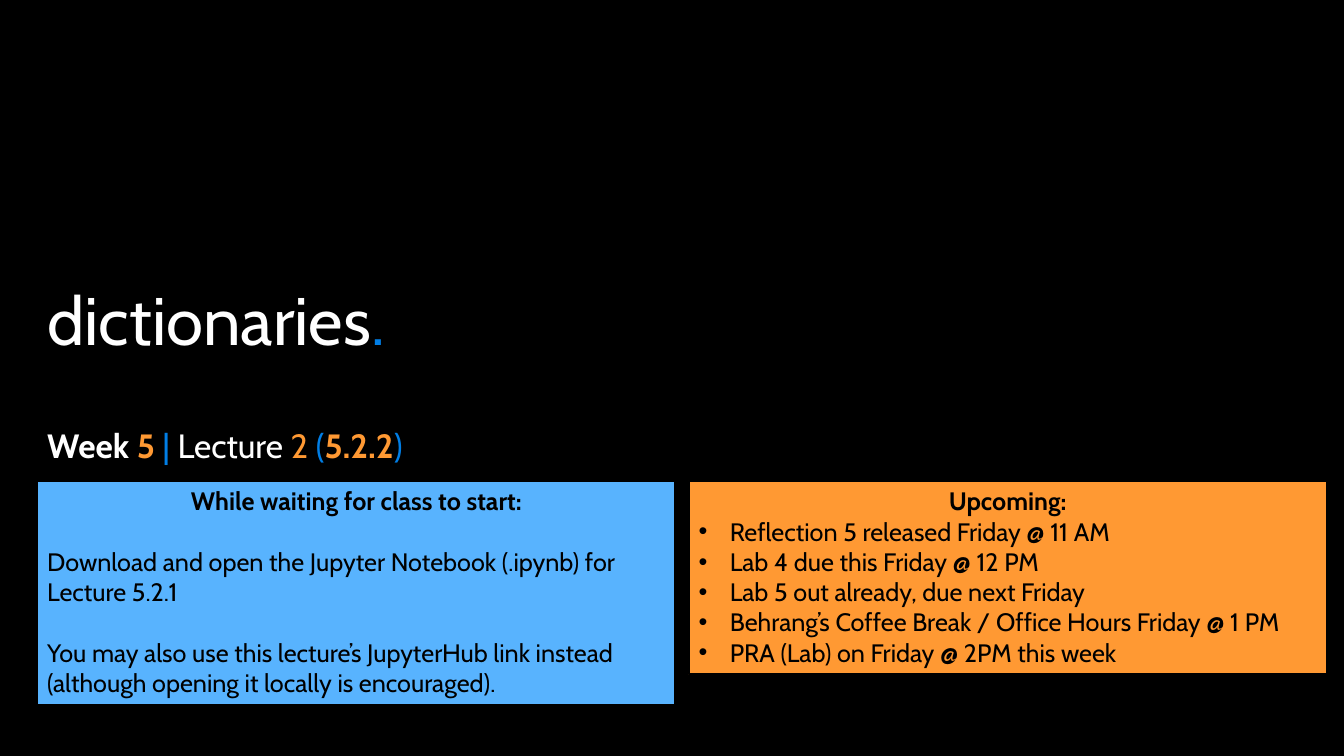
from lxml import etree
from pptx import Presentation
from pptx.dml.color import RGBColor
from pptx.enum.shapes import MSO_SHAPE
from pptx.enum.text import MSO_ANCHOR, MSO_AUTO_SIZE, PP_ALIGN
from pptx.oxml.ns import qn
from pptx.util import Inches, Pt

RECTANGLE = MSO_SHAPE.RECTANGLE
TOP, BOTTOM = MSO_ANCHOR.TOP, MSO_ANCHOR.BOTTOM
LEFT, CENTER = PP_ALIGN.LEFT, PP_ALIGN.CENTER
NO_FIT, GROW = MSO_AUTO_SIZE.NONE, MSO_AUTO_SIZE.SHAPE_TO_FIT_TEXT

FONT = "Cabin"
BLACK, WHITE = "000000", "FFFFFF"
BLUE, ORANGE, SKY = "017EE5", "FF9933", "58B3FE"
MARGIN, CONTENT_WIDTH = 0.37, 12.46
PANEL_TOP, PANEL_WIDTH, PANEL_STEP = 4.77, 6.33, 6.46
PANEL_SIZE, PANEL_GAP, BULLET_INDENT = 18, 21.6, 0.31


def color(hex_code):
    """Turn a hex string into a colour."""
    return RGBColor.from_string(hex_code)


class LectureSlide:
    """Style and elements of the lecture opening slide."""

    def __init__(self, deck):
        """Add a black title-only slide."""
        self.slide = deck.slides.add_slide(deck.slide_layouts[5])
        fill = self.slide.background.fill
        fill.solid()
        fill.fore_color.rgb = color(BLACK)

    def frame(self, holder, anchor, fit=NO_FIT):
        """Prepare the text frame of a shape."""
        frame = holder.text_frame
        frame.word_wrap = True
        frame.auto_size = fit
        frame.vertical_anchor = anchor
        return frame

    def add_runs(self, paragraph, runs, size, align=LEFT, spacing=1.0):
        """Fill a paragraph with (text, colour, bold) runs."""
        paragraph.alignment = align
        paragraph.line_spacing = spacing
        for text, hex_code, bold in runs:
            run = paragraph.add_run()
            run.text = text
            run.font.name = FONT
            run.font.size = Pt(size)
            run.font.bold = bold
            run.font.color.rgb = color(hex_code)

    def bullet(self, paragraph):
        """Give a paragraph a hanging round bullet."""
        properties = paragraph._p.get_or_add_pPr()
        properties.set("marL", str(Inches(BULLET_INDENT)))
        properties.set("indent", str(-Inches(BULLET_INDENT)))
        etree.SubElement(properties, qn("a:buFont")).set("typeface", "Arial")
        etree.SubElement(properties, qn("a:buChar")).set("char", "•")

    def title(self, runs):
        """Place the lecture title."""
        title = self.slide.shapes.title
        title.left, title.top = Inches(MARGIN), Inches(2.64)
        title.width, title.height = Inches(CONTENT_WIDTH), Inches(0.98)
        frame = self.frame(title, BOTTOM)
        self.add_runs(frame.paragraphs[0], runs, 48, spacing=0.9)

    def subtitle(self, runs):
        """Place the week and lecture line."""
        subtitle = self.slide.shapes.add_textbox(
            Inches(MARGIN), Inches(4.21), Inches(CONTENT_WIDTH), Inches(1.81))
        frame = self.frame(subtitle, TOP)
        self.add_runs(frame.paragraphs[0], runs, 24, spacing=0.9)

    def panel(self, column, height, fill, heading, lines, bulleted=False):
        """Place a coloured panel with a heading and its lines."""
        panel = self.slide.shapes.add_shape(
            RECTANGLE, Inches(MARGIN + column * PANEL_STEP), Inches(PANEL_TOP),
            Inches(PANEL_WIDTH), Inches(height))
        panel.shadow.inherit = False
        panel.fill.solid()
        panel.fill.fore_color.rgb = color(fill)
        panel.line.color.rgb = color(BLACK)
        panel.line.width = Pt(1.5)
        frame = self.frame(panel, TOP, GROW)
        self.add_runs(frame.paragraphs[0], [(heading, BLACK, True)], PANEL_SIZE, CENTER)
        for line in lines:
            paragraph = frame.add_paragraph()
            if bulleted:
                self.bullet(paragraph)
            else:
                paragraph.space_before = Pt(PANEL_GAP)
            self.add_runs(paragraph, [(line, BLACK, False)], PANEL_SIZE)


def main():
    """Build and save the slide."""
    deck = Presentation()
    deck.slide_width, deck.slide_height = Inches(13.33), Inches(7.5)
    opening = LectureSlide(deck)
    opening.title([("dictionaries", WHITE, False), (".", BLUE, False)])
    opening.subtitle([
        ("Week ", WHITE, True), ("5 ", ORANGE, True), ("|", BLUE, False),
        (" Lecture ", WHITE, False), ("2 ", ORANGE, False),
        ("(", BLUE, False), ("5.2.2", ORANGE, True), (")", BLUE, False),
    ])
    opening.panel(1, 1.92, ORANGE, "Upcoming:", [
        "Reflection 5 released Friday @ 11 AM",
        "Lab 4 due this Friday @ 12 PM",
        "Lab 5 out already, due next Friday",
        "Behrang’s Coffee Break / Office Hours Friday @ 1 PM",
        "PRA (Lab) on Friday @ 2PM this week",
    ], bulleted=True)
    opening.panel(0, 2.22, SKY, "While waiting for class to start:", [
        "Download and open the Jupyter Notebook (.ipynb) for Lecture 5.2.1",
        "You may also use this lecture’s JupyterHub link instead "
        "(although opening it locally is encouraged).",
    ])
    deck.save("out.pptx")


if __name__ == "__main__":
    main()
